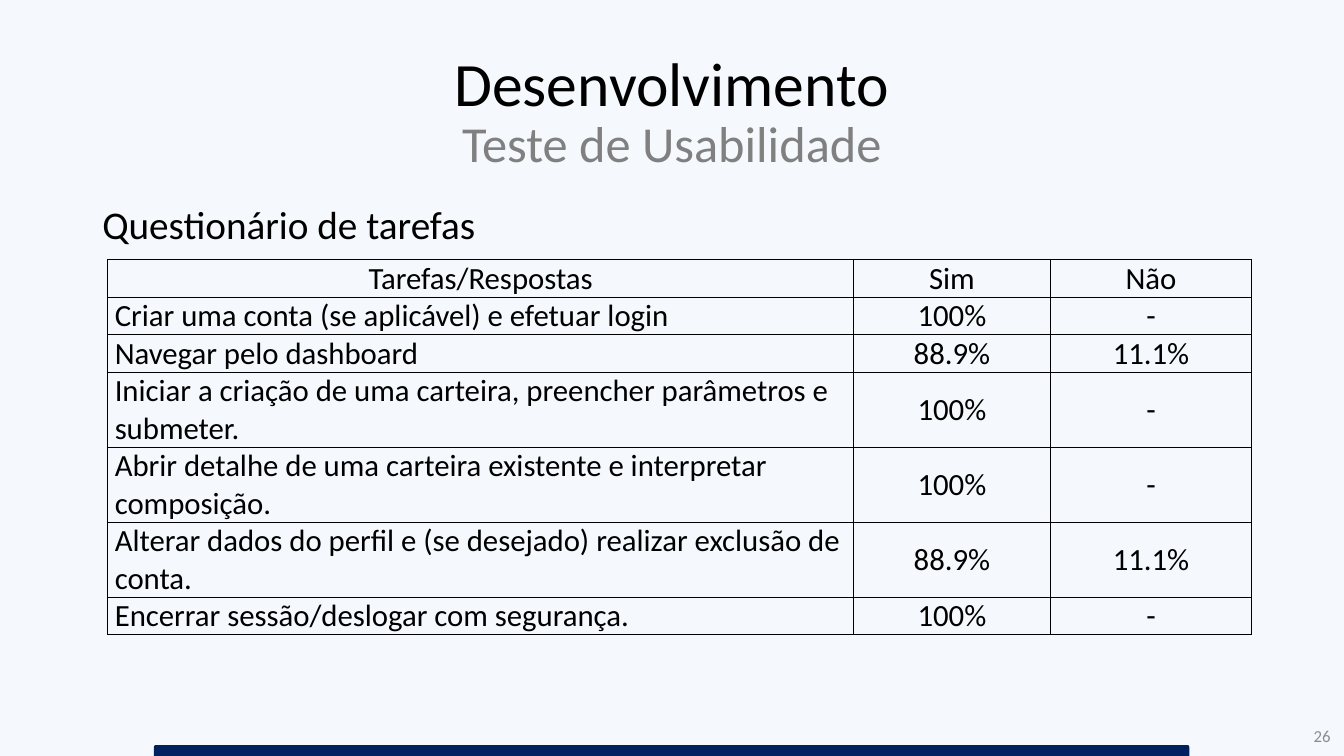
from lxml.etree import SubElement
from pptx import Presentation
from pptx.dml.color import RGBColor
from pptx.enum.shapes import MSO_SHAPE
from pptx.enum.text import MSO_ANCHOR, PP_ALIGN
from pptx.oxml.ns import qn
from pptx.util import Pt

FONT = "Calibri"
WIDTH, HEIGHT = 960, 540
COLUMNS = [532.8, 140.4, 144]
LINE = 26.8
ROWS = [
    (1, "Tarefas/Respostas", "Sim", "Não"),
    (1, "Criar uma conta (se aplicável) e efetuar login", "100%", "-"),
    (1, "Navegar pelo dashboard", "88.9%", "11.1%"),
    (2, "Iniciar a criação de uma carteira, preencher parâmetros e submeter.", "100%", "-"),
    (2, "Abrir detalhe de uma carteira existente e interpretar composição.", "100%", "-"),
    (2, "Alterar dados do perfil e (se desejado) realizar exclusão de conta.", "88.9%", "11.1%"),
    (1, "Encerrar sessão/deslogar com segurança.", "100%", "-"),
]


def color(code):
    return RGBColor.from_string(code)


def write(frame, text, size=22, code="000000", align=PP_ALIGN.LEFT, spacing=None, newline=False):
    par = frame.paragraphs[0]
    par.alignment = align
    if spacing:
        par.line_spacing = spacing
    if newline:
        par.add_line_break()
    run = par.add_run()
    run.text = text
    run.font.name = FONT
    run.font.size = Pt(size)
    run.font.color.rgb = color(code)


def add_box(slide, left, top, width, height, anchor=MSO_ANCHOR.TOP):
    frame = slide.shapes.add_textbox(Pt(left), Pt(top), Pt(width), Pt(height)).text_frame
    frame.word_wrap = True
    frame.vertical_anchor = anchor
    return frame


def add_title(slide, left, top, width, height):
    frame = add_box(slide, left, top, width, height, MSO_ANCHOR.MIDDLE)
    write(frame, "Desenvolvimento", size=44, align=PP_ALIGN.CENTER, spacing=0.9)
    write(frame, "Teste de Usabilidade", size=36, code="808080",
          align=PP_ALIGN.CENTER, spacing=0.9, newline=True)


def add_heading(slide, left, top, width, height):
    frame = add_box(slide, left, top, width, height)
    write(frame, "Questionário de tarefas", size=28, spacing=0.9)


def add_borders(cell, code="000000"):
    props = cell._tc.get_or_add_tcPr()
    for side in ("lnL", "lnR", "lnT", "lnB"):
        line = SubElement(props, qn(f"a:{side}"), w=str(Pt(1)))
        fill = SubElement(line, qn("a:solidFill"))
        SubElement(fill, qn("a:srgbClr"), val=code)


def add_answers(slide, left, top):
    height = LINE * sum(row[0] for row in ROWS)
    table = slide.shapes.add_table(len(ROWS), len(COLUMNS), Pt(left), Pt(top),
                                   Pt(sum(COLUMNS)), Pt(height)).table
    table.first_row = table.horz_banding = False
    for column, width in zip(table.columns, COLUMNS):
        column.width = Pt(width)
    for r, (lines, *texts) in enumerate(ROWS):
        table.rows[r].height = Pt(LINE * lines)
        for c, text in enumerate(texts):
            cell = table.cell(r, c)
            cell.margin_left = cell.margin_right = Pt(5)
            cell.margin_top = cell.margin_bottom = 0
            cell.vertical_anchor = MSO_ANCHOR.MIDDLE
            add_borders(cell)
            cell.fill.background()
            centred = r == 0 or c > 0
            write(cell.text_frame, text, align=PP_ALIGN.CENTER if centred else PP_ALIGN.LEFT)


def add_footer(slide, left, top, width, height):
    bar = slide.shapes.add_shape(MSO_SHAPE.ROUND_2_SAME_RECTANGLE, Pt(left + 110), Pt(top + 21),
                                 Pt(width - 220.5), Pt(height - 21))
    bar.shadow.inherit = False
    bar.fill.solid()
    bar.fill.fore_color.rgb = color("002060")
    bar.line.fill.background()
    number = add_box(slide, left + width - 218.4, top, 216, height, MSO_ANCHOR.MIDDLE)
    write(number, "26", size=12, code="8C8C8C", align=PP_ALIGN.RIGHT)


def main():
    deck = Presentation()
    deck.slide_width, deck.slide_height = Pt(WIDTH), Pt(HEIGHT)
    slide = deck.slides.add_slide(deck.slide_layouts[6])
    slide.background.fill.solid()
    slide.background.fill.fore_color.rgb = color("F5F9FD")
    add_title(slide, 66, 28.8, 828, 104.4)
    add_heading(slide, 66, 143.3, 840, 40)
    add_answers(slide, 77, 185.6)
    add_footer(slide, 0, 511.2, WIDTH, 28.8)
    deck.save("out.pptx")


if __name__ == "__main__":
    main()
